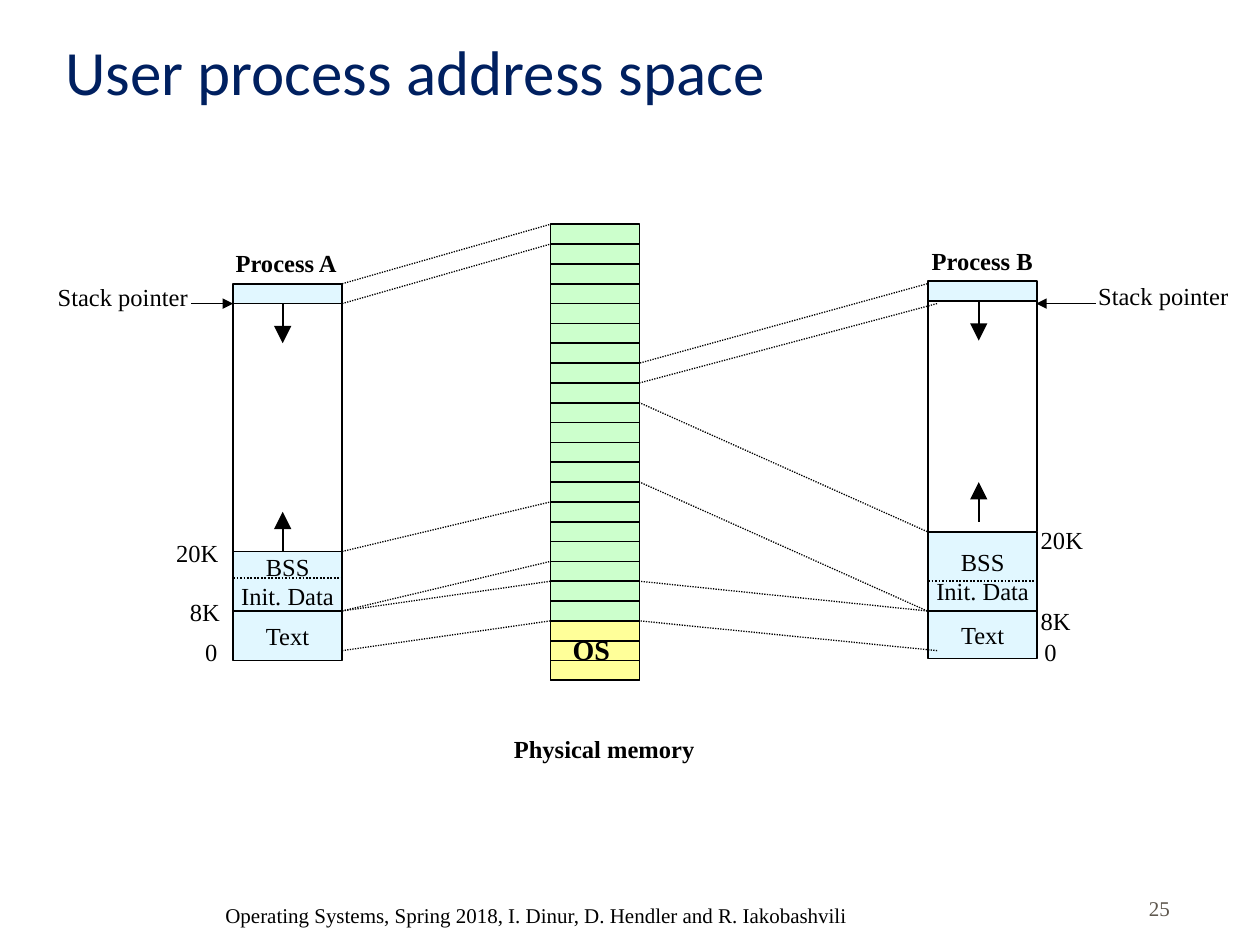
from dataclasses import dataclass
from typing import NamedTuple

from lxml.etree import SubElement
from pptx import Presentation
from pptx.dml.color import RGBColor
from pptx.enum.dml import MSO_LINE_DASH_STYLE as Dash
from pptx.enum.shapes import MSO_CONNECTOR, MSO_SHAPE
from pptx.enum.text import MSO_ANCHOR as Anchor, PP_ALIGN as Align
from pptx.oxml.ns import qn
from pptx.util import Inches, Pt


@dataclass(frozen=True)
class Theme:
    title_font: str = "Calibri"
    body_font: str = "Times New Roman"
    ink: str = "000000"
    title_color: str = "002060"
    number_color: str = "5E574E"
    segment: str = "E1F7FF"
    memory: str = "CCFFCC"
    system: str = "FFFF99"
    title_size: int = 36
    system_size: int = 16
    label_size: int = 14
    footer_size: int = 12
    line_width: float = 1
    mapping_width: float = 0.75


class Area(NamedTuple):
    """Left, top, width and height in inches."""
    left: float
    top: float
    width: float
    height: float


class Label(NamedTuple):
    text: str
    column: float
    row: float
    columns: float
    bold: bool = False


class Process(NamedTuple):
    """Columns and rows of one address space."""
    left: float
    stack_top: float
    data_top: float
    data_bottom: float
    divider: float
    bottom: float
    arrow_column: float
    heap_row: float
    pointer_from: float
    pointer_to: float
    labels: list[Label]


THEME = Theme()
SLIDE_WIDTH, SLIDE_HEIGHT = 10, 7.5
# Square grid: its rows are the page frames of physical memory.
GRID_LEFT, GRID_TOP, FRAMES = 1.85, 1.78, 23
CELL = 3.62 / FRAMES
PROCESS_COLUMNS, MEMORY_COLUMNS, MEMORY_LEFT = 5.5, 4.5, 16
MEMORY_RIGHT = MEMORY_LEFT + MEMORY_COLUMNS
SYSTEM_ROW, TEXT_ROW, STACK_ROWS, ARROW_ROWS, LABEL_ROWS = 20, 19.5, 1, 2, 2.16

PROCESSES = [
    Process(0, 3, 16.5, 19.5, 17.85, 22, 2.5, 16.5, -2.1, 0, [
        Label("Process A", -0.5, 0.9, 6.5, True),
        Label("Stack pointer", -9.47, 2.6, 9.47),
        Label("0", -2.03, 20.52, 1.52),
        Label("8K", -2.8, 18.5, 3),
        Label("20K", -3.5, 15.5, 4),
    ]),
    Process(35.05, 2.87, 15.5, 20, 18, 21.9, 37.6, 15, 43.5, 40.5, [
        Label("Process B", 34.6, 0.77, 6.5, True),
        Label("Stack pointer", 43, 2.54, 9.47),
        Label("0", 40.28, 20.52, 1.52),
        Label("8K", 40.1, 18.93, 3),
        Label("20K", 40.1, 14.87, 4),
    ]),
]

# Edge column and row of the process, then the frame it maps to.
MAPPINGS_A = [(5.5, 3, 0), (5.5, 4, 1), (5.5, 16.5, 14),
              (5.5, 19.5, 17), (5.5, 19.5, 18), (5.5, 21.5, 20)]
MAPPINGS_B = [(35, 3, 7), (35.5, 4, 8), (35, 15.5, 9),
              (35, 19.5, 13), (35, 19.5, 18), (35.5, 21.5, 20)]


def grid(column: float, row: float, columns: float, rows: float) -> Area:
    return Area(GRID_LEFT + column * CELL, GRID_TOP + row * CELL,
                columns * CELL, rows * CELL)


def percent(left: float, top: float, width: float, height: float) -> Area:
    """Area given in percent of the slide."""
    return Area(left * SLIDE_WIDTH / 100, top * SLIDE_HEIGHT / 100,
                width * SLIDE_WIDTH / 100, height * SLIDE_HEIGHT / 100)


def write(shape, text: str, *, size: float = THEME.label_size,
          font: str = THEME.body_font, color: str = THEME.ink,
          bold: bool = False, align=Align.LEFT, anchor=Anchor.TOP,
          wrap: bool = True) -> None:
    frame = shape.text_frame
    frame.word_wrap = wrap
    frame.vertical_anchor = anchor
    paragraph = frame.paragraphs[0]
    paragraph.text = text
    paragraph.alignment = align
    for run in paragraph.runs:
        run.font.name = font
        run.font.size = Pt(size)
        run.font.bold = bold
        run.font.color.rgb = RGBColor.from_string(color)


def add_text(slide, area: Area, text: str, **text_format) -> None:
    shape = slide.shapes.add_textbox(*map(Inches, area))
    write(shape, text, **text_format)


def add_box(slide, area: Area, fill: str | None = None, text: str = "") -> None:
    shape = slide.shapes.add_shape(MSO_SHAPE.RECTANGLE, *map(Inches, area))
    shape.shadow.inherit = False
    if fill:
        shape.fill.solid()
        shape.fill.fore_color.rgb = RGBColor.from_string(fill)
    else:
        shape.fill.background()
    shape.line.color.rgb = RGBColor.from_string(THEME.ink)
    shape.line.width = Pt(THEME.line_width)
    if text:
        write(shape, text, align=Align.CENTER, anchor=Anchor.MIDDLE, wrap=False)


def add_line(slide, start: tuple[float, float], end: tuple[float, float], *,
             width: float = THEME.line_width, dotted: bool = False,
             arrow: str | None = None) -> None:
    """Draw a line between grid points; arrow is the size of its head."""
    points = [Inches(edge) for point in (start, end)
              for edge in grid(*point, 0, 0)[:2]]
    connector = slide.shapes.add_connector(MSO_CONNECTOR.STRAIGHT, *points)
    connector.line.color.rgb = RGBColor.from_string(THEME.ink)
    connector.line.width = Pt(width)
    if dotted:
        connector.line.dash_style = Dash.ROUND_DOT
    if arrow:
        SubElement(connector.line._get_or_add_ln(), qn("a:tailEnd"),
                   type="triangle", w=arrow, len=arrow)
    SubElement(connector._element.spPr, qn("a:effectLst"))


def add_process(slide, process: Process) -> None:
    left, right = process.left, process.left + PROCESS_COLUMNS
    stack_end = process.stack_top + STACK_ROWS
    for top, bottom, fill, text in [
        (process.stack_top, stack_end, THEME.segment, ""),
        (stack_end, process.data_top, None, ""),
        (process.data_top, process.data_bottom, THEME.segment, "BSS\nInit. Data"),
        (TEXT_ROW, process.bottom, THEME.segment, "Text"),
    ]:
        add_box(slide, grid(left, top, PROCESS_COLUMNS, bottom - top), fill, text)
    add_line(slide, (left, process.divider), (right, process.divider), dotted=True)
    for row, step in [(process.heap_row, -ARROW_ROWS), (stack_end, ARROW_ROWS)]:
        add_line(slide, (process.arrow_column, row),
                 (process.arrow_column, row + step), arrow="lg")
    add_line(slide, (process.pointer_from, 4), (process.pointer_to, 4), arrow="med")
    for label in process.labels:
        add_text(slide, grid(label.column, label.row, label.columns, LABEL_ROWS),
                 label.text, bold=label.bold)


def add_memory(slide) -> None:
    add_box(slide, grid(MEMORY_LEFT, 0, MEMORY_COLUMNS, FRAMES), THEME.memory)
    for row in range(1, SYSTEM_ROW):
        add_line(slide, (MEMORY_LEFT, row), (MEMORY_RIGHT, row))
    for row in range(SYSTEM_ROW, FRAMES):
        add_box(slide, grid(MEMORY_LEFT, row, MEMORY_COLUMNS, 1), THEME.system)
    add_text(slide, grid(16.5, 20.27, 3.5, 2.35), "OS",
             size=THEME.system_size, bold=True)
    add_text(slide, grid(13.53, 25.4, 12.5, LABEL_ROWS), "Physical memory", bold=True)


def main() -> None:
    presentation = Presentation()
    presentation.slide_width = Inches(SLIDE_WIDTH)
    presentation.slide_height = Inches(SLIDE_HEIGHT)
    slide = presentation.slides.add_slide(presentation.slide_layouts[6])
    add_text(slide, percent(4.2, 4.4, 85, 7.73), "User process address space",
             size=THEME.title_size, font=THEME.title_font,
             color=THEME.title_color, anchor=Anchor.BOTTOM)
    for process in PROCESSES:
        add_process(slide, process)
    add_memory(slide)
    for mappings, edge in [(MAPPINGS_A, MEMORY_LEFT), (MAPPINGS_B, MEMORY_RIGHT)]:
        for column, row, frame in mappings:
            add_line(slide, (column, row), (edge, frame),
                     width=THEME.mapping_width, dotted=True)
    add_text(slide, percent(90.2, 94.13, 6.5, 4.93), "25",
             size=THEME.footer_size, color=THEME.number_color, align=Align.JUSTIFY)
    add_text(slide, percent(16.9, 94.8, 53.5, 5.2),
             "Operating Systems, Spring 2018, I. Dinur, D. Hendler and R. Iakobashvili",
             size=THEME.footer_size)
    presentation.save("out.pptx")


if __name__ == "__main__":
    main()
